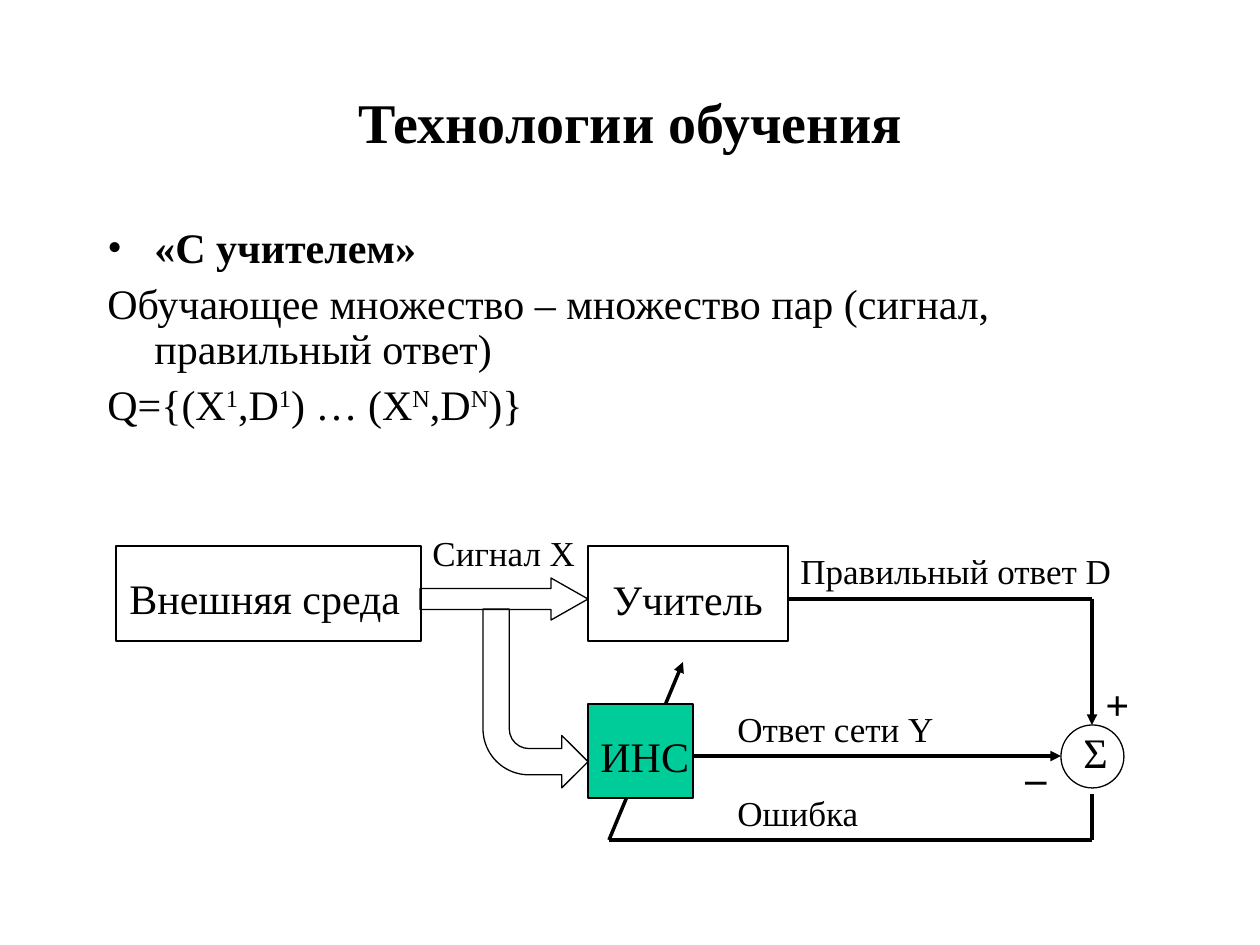
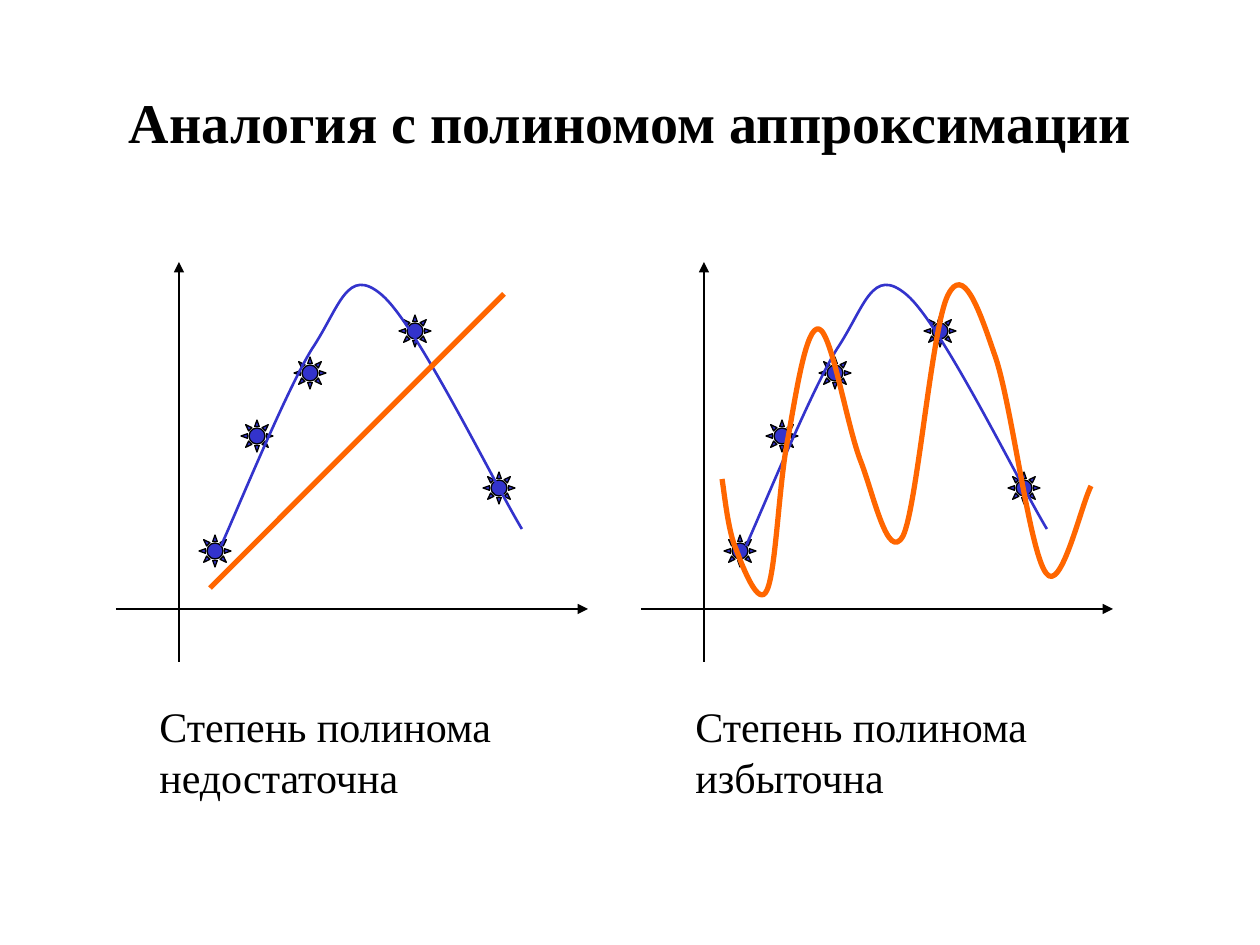
from lxml import etree
from pptx import Presentation
from pptx.dml.color import RGBColor
from pptx.enum.shapes import MSO_CONNECTOR, MSO_SHAPE
from pptx.enum.text import MSO_ANCHOR, PP_ALIGN
from pptx.oxml.ns import qn
from pptx.util import Pt

# Shared style; lengths are px at 126 to the inch
EMU = 914400 / 126
FONT = "Times New Roman"
BLACK, GREEN, BLUE, ORANGE = "000000", "00CC99", "3333CC", "FF6600"
STRAIGHT = MSO_CONNECTOR.STRAIGHT
RECT, OVAL, SUN = MSO_SHAPE.RECTANGLE, MSO_SHAPE.OVAL, MSO_SHAPE.SUN
ARROW, BEND = MSO_SHAPE.RIGHT_ARROW, MSO_SHAPE.BENT_ARROW
LEFT, CENTER = PP_ALIGN.LEFT, PP_ALIGN.CENTER
TOP, MIDDLE = MSO_ANCHOR.TOP, MSO_ANCHOR.MIDDLE

# Plot data: Bezier points, three after the start for each span
SHIFT = 525
DOTS = [(215, 551), (257, 436), (310, 373), (415, 331), (499, 488)]
TREND = [(221, 546), (236, 513), (286, 391), (312, 349), (340, 307),
         (347, 265), (382, 295), (417, 325), (493, 481), (522, 529)]
WAVE = [(722, 479), (724, 490), (728, 532), (736, 549), (743, 568),
        (759, 609), (767, 590), (776, 571), (779, 481), (788, 438),
        (796, 394), (806, 325), (819, 329), (832, 333), (847, 427),
        (861, 462), (874, 496), (888, 563), (903, 536), (917, 508),
        (932, 325), (948, 295), (963, 265), (978, 306), (994, 353),
        (1011, 398), (1029, 551), (1046, 573), (1061, 595), (1081, 505),
        (1091, 486)]


def px(*nums):
    return [round(n * EMU) for n in nums]


def color(code):
    return RGBColor.from_string(code)


def text(slide, box, paras, size=24, bold=False, align=LEFT, anchor=TOP,
         wrap=True, lead=None, gap=0, hang=0, top=6):
    """Add paragraphs; "^" toggles superscript, a leading "•" a bullet."""
    frame = slide.shapes.add_textbox(*px(*box)).text_frame
    frame.word_wrap = wrap
    frame.vertical_anchor = anchor
    frame.margin_top = px(top)[0]
    for i, line in enumerate(paras):
        para = frame.add_paragraph() if i else frame.paragraphs[0]
        props = para._p.get_or_add_pPr()
        if hang:
            props.set("marL", str(px(hang)[0]))
            props.set("indent", str(px(-hang)[0]))
        bullet = line.startswith("•")
        if bullet:
            etree.SubElement(props, qn("a:buFont")).set("typeface", FONT)
            etree.SubElement(props, qn("a:buChar")).set("char", "•")
        para.alignment = align
        if lead:
            para.line_spacing = lead
        if i:
            para.space_before = Pt(gap)
        for j, part in enumerate(line.lstrip("•").split("^")):
            run = para.add_run()
            run.text = part
            font = run.font
            font.name, font.size = FONT, Pt(size)
            font.bold = bold or bullet
            font.color.rgb = color(BLACK)
            if j % 2:
                font._element.set("baseline", "30000")


def title(slide, words):
    text(slide, (95, 42, 1071, 158), [words], size=32, bold=True,
         align=CENTER, anchor=MIDDLE)


def paint(item, fill=None, line=BLACK, width=0.75):
    item.shadow.inherit = False
    if fill:
        item.fill.solid()
        item.fill.fore_color.rgb = color(fill)
    else:
        item.fill.background()
    item.line.color.rgb = color(line)
    item.line.width = Pt(width)


def shape(slide, kind, box, fill=None):
    item = slide.shapes.add_shape(kind, *px(*box))
    paint(item, fill)
    return item


def line(slide, start, end, width=2, code=BLACK, head=False):
    item = slide.shapes.add_connector(STRAIGHT, *px(*start, *end))
    item.line.color.rgb = color(code)
    item.line.width = Pt(width)
    if head:
        tail = etree.SubElement(item.line._get_or_add_ln(), qn("a:tailEnd"))
        tail.set("type", "triangle")
    etree.SubElement(item._element.spPr, qn("a:effectLst"))


def curve(slide, points, code, width):
    pen = slide.shapes.build_freeform(*px(*points[0]), scale=1.0)
    pen.add_line_segments([px(*p) for p in points[1:]], close=False)
    item = pen.convert_to_shape()
    paint(item, line=code, width=width)
    # Join each three straight steps into one Bezier span
    steps = list(item._element.iter(qn("a:lnTo")))
    for k in range(0, len(steps), 3):
        span = etree.Element(qn("a:cubicBezTo"))
        steps[k].addprevious(span)
        for step in steps[k:k + 3]:
            span.append(step[0])
            step.getparent().remove(step)


def plot(slide, dx):
    line(slide, (179 + dx, 662), (179 + dx, 262), 0.75, head=True)
    line(slide, (116 + dx, 609), (588 + dx, 609), 0.75, head=True)
    for x, y in DOTS:
        shape(slide, SUN, (x + dx - 16, y - 16, 32, 32), BLUE)
    curve(slide, [(x + dx, y) for x, y in TREND], BLUE, 1.5)


def teach(slide):
    title(slide, "Технологии обучения")
    text(slide, (95, 221, 1071, 242),
         ["•«С учителем»",
          "Обучающее множество – множество пар (сигнал, правильный ответ)",
          "Q={(X^1^,D^1^) … (X^N^,D^N^)}"], lead=0.9, gap=6, hang=47)

    # Blocks and wide arrows
    line(slide, (609, 840), (683, 662), head=True)
    shape(slide, RECT, (588, 704, 105, 94), GREEN)
    shape(slide, RECT, (116, 546, 305, 95))
    shape(slide, RECT, (588, 546, 200, 95))
    shape(slide, OVAL, (1061, 725, 63, 63))
    arrow = shape(slide, ARROW, (420, 578, 168, 42))
    arrow.adjustments[1] = 0.88
    bend = shape(slide, BEND, (483, 609, 105, 179))
    bend._element.spPr.xfrm.set("flipV", "1")

    # Thin links: answers into the sum, error back to the network
    for start, end, head in [((788, 599), (1092, 599), False),
                             ((693, 756), (1061, 756), True),
                             ((1092, 599), (1092, 725), True),
                             ((1092, 794), (1092, 840), False),
                             ((1092, 840), (609, 840), False)]:
        line(slide, start, end, head=head)

    # Labels
    text(slide, (588, 725, 136, 63), ["ИНС"])
    for box, words in [((117, 567, 300, 63), "Внешняя среда"),
                       ((600, 568, 182, 63), "Учитель"),
                       ((1071, 721, 49, 63), "Σ")]:
        text(slide, box, [words], wrap=False)
    for box, sign in [((1093, 673, 49, 63), "+"), ((1013, 746, 46, 63), "–")]:
        text(slide, box, [sign], bold=True, wrap=False)
    for x, y, w, words in [(420, 525, 168, "Сигнал X"),
                           (788, 543, 347, "Правильный ответ D"),
                           (725, 701, 262, "Ответ сети Y"),
                           (725, 785, 262, "Ошибка")]:
        text(slide, (x, y, w, 55), [words], size=20)


def fit(slide):
    title(slide, "Аналогия с полиномом аппроксимации")
    for dx in (0, SHIFT):
        plot(slide, dx)
    line(slide, (210, 588), (504, 294), 3, ORANGE)
    curve(slide, WAVE, ORANGE, 3)
    for x, word in [(147, "недостаточна"), (683, "избыточна")]:
        text(slide, (x, 703, 405, 102), ["Степень полинома", word],
             lead=0.5, gap=15, top=19)


def main():
    deck = Presentation()
    deck.slide_width, deck.slide_height = px(1260, 945)
    for build in (teach, fit):
        build(deck.slides.add_slide(deck.slide_layouts[6]))
    deck.save("out.pptx")


if __name__ == "__main__":
    main()
